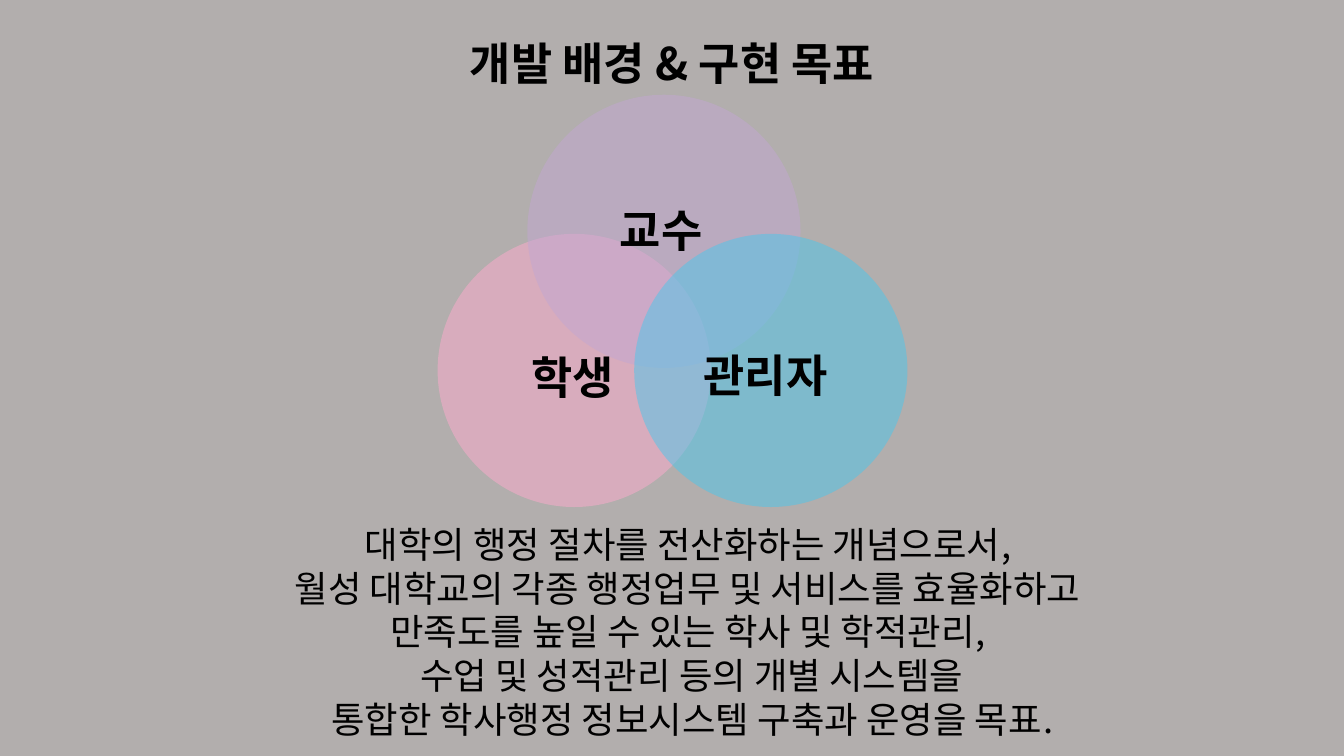
from pptx import Presentation
from pptx.dml.color import RGBColor
from pptx.enum.shapes import MSO_SHAPE as Kind
from pptx.enum.text import MSO_AUTO_SIZE as Fit, PP_ALIGN as Align
from pptx.oxml.ns import qn
from pptx.util import Inches, Pt
from lxml.etree import SubElement as Sub

FACE = "Noto Sans CJK KR"
SIZE = 2.71
CIRCLES = [
    (4.34, 2.32, "FFABCD"),
    (5.23, 0.94, "C2A7D2"),
    (6.29, 2.32, "4CC7EC"),
]
LABELS = [
    ("교수", 6.05, 1.96, 1.17),
    ("학생", 5.17, 3.42, 1.17),
    ("관리자", 6.88, 3.4, 1.66),
]
GOALS = [
    "대학의 행정 절차를 전산화하는 개념으로서, ",
    "월성 대학교의 각종 행정업무 및 서비스를 효율화하고 ",
    "만족도를 높일 수 있는 학사 및 학적관리, ",
    "수업 및 성적관리 등의 개별 시스템을",
    "통합한 학사행정 정보시스템 구축과 운영을 목표.",
]
BOLD = {"size": Pt(32), "bold": True}
PLAIN = {"size": Pt(26)}


def paint(fill, color, alpha=None):
    """Fill with a hex colour; alpha is the opacity in percent."""
    fill.solid()
    fill.fore_color.rgb = RGBColor.from_string(color)
    if alpha is not None:
        tone = fill._xPr.find(".//" + qn("a:srgbClr"))
        Sub(tone, qn("a:alpha"), val=str(alpha * 1000))


def add_circle(shapes, left, top, color):
    disc = shapes.add_shape(Kind.OVAL, *map(Inches, (left, top, SIZE, SIZE)))
    disc.shadow.inherit = False
    paint(disc.fill, color, 50)
    disc.line.fill.background()


def add_text(shapes, lines, place, style, align=Align.LEFT, space=None):
    box = shapes.add_textbox(*map(Inches, place))
    frame = box.text_frame
    frame.word_wrap = True
    frame.auto_size = Fit.SHAPE_TO_FIT_TEXT
    frame.text = "\n".join(lines)
    for para in frame.paragraphs:
        para.alignment = align
        para.line_spacing = space
        for run in para.runs:
            paint(run.font.fill, "000000")
            for key, value in {"name": FACE, **style}.items():
                setattr(run.font, key, value)
            Sub(run.font._element, qn("a:ea"), typeface=FACE)


def main():
    deck = Presentation()
    deck.slide_width, deck.slide_height = Inches(13.33), Inches(7.5)
    slide = deck.slides.add_slide(deck.slide_layouts[6])
    paint(slide.background.fill, "B2AEAD")

    venn = slide.shapes.add_group_shape().shapes
    for circle in CIRCLES:
        add_circle(venn, *circle)
    for name, left, top, width in LABELS:
        add_text(venn, [name], (left, top, width, 0.64), BOLD)

    add_text(slide.shapes, GOALS, (1.09, 5.13, 11.55, 2.29), PLAIN, Align.CENTER)
    add_text(slide.shapes, ["개발 배경 & 구현 목표"], (3.99, 0.04, 5.35, 0.8),
             BOLD, Align.CENTER, 1.5)
    deck.save("out.pptx")


if __name__ == "__main__":
    main()
